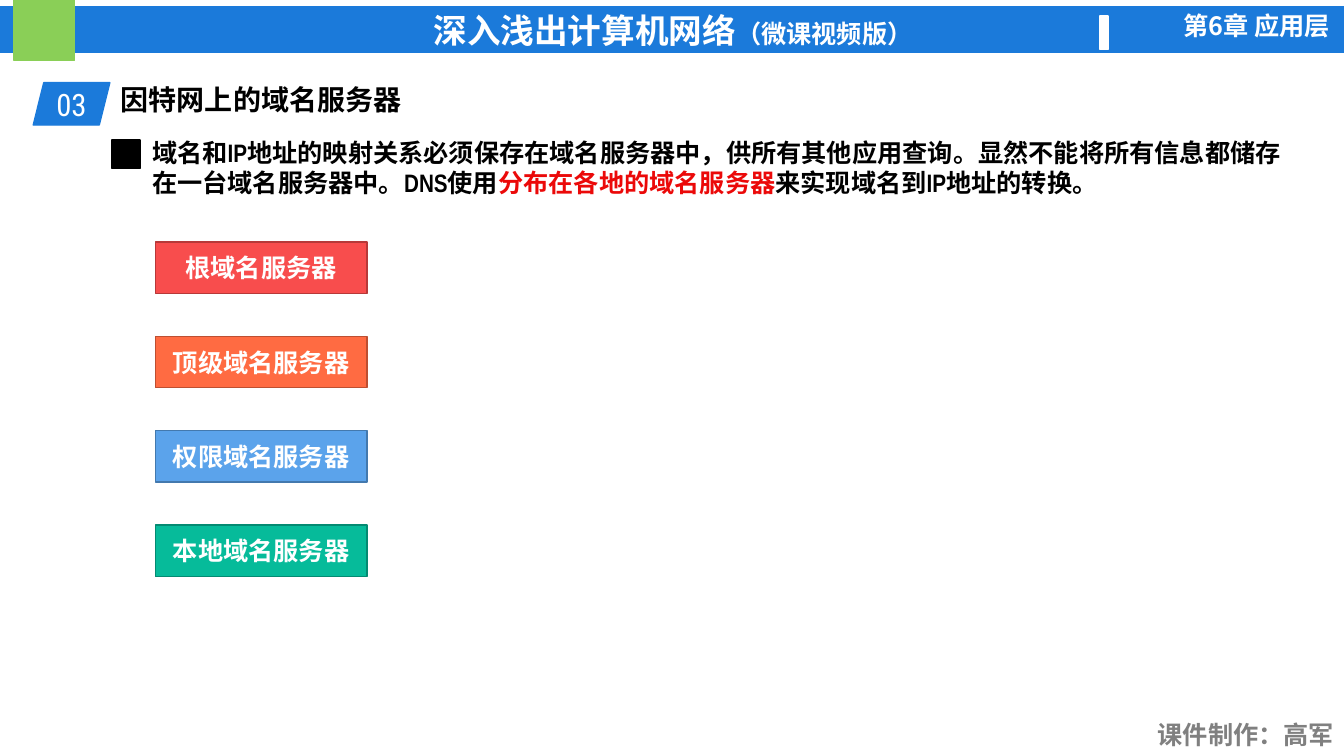
from pptx import Presentation
from pptx import util as u
from pptx.dml import color
from pptx.enum import shapes, text
from pptx.oxml import ns, xmlchemy

BLUE, GREEN, WHITE, BLACK, RED, GREY = "1B7ADA", "8ACF57", "FFFFFF", "000000", "EB0909", "808080"
NARROW, SANS, CONDENSED = "Arial Narrow", "Noto Sans CJK SC", "Roboto Condensed"
LEFT, CENTER, RIGHT = text.PP_ALIGN.LEFT, text.PP_ALIGN.CENTER, text.PP_ALIGN.RIGHT
TOP, MIDDLE = text.MSO_ANCHOR.TOP, text.MSO_ANCHOR.MIDDLE
SERVERS = [
    ("根域名服务器", "F84D4D", "B73939"),
    ("顶级域名服务器", "FF6B42", "BD4F31"),
    ("权限域名服务器", "5BA3EB", "4379AE"),
    ("本地域名服务器", "06BB9A", "048A72"),
]


def rgb(value):
    """Turn a hex string into a colour."""
    return color.RGBColor.from_string(value)


def write(shape, runs, align=LEFT, **frame_format):
    """Write (words, size, font, colour, bold) runs as one paragraph."""
    frame = shape.text_frame
    frame_values = {"word_wrap": True, "vertical_anchor": TOP, **frame_format}
    for name, value in frame_values.items():
        setattr(frame, name, value)
    paragraph = frame.paragraphs[0]
    paragraph.alignment = align
    for words, size, font, hue, bold in runs:
        run = paragraph.add_run()
        run.text = words
        for name, value in {"size": u.Pt(size), "name": font, "bold": bold}.items():
            setattr(run.font, name, value)
        run.font.color.rgb = rgb(hue)
        east_asian = xmlchemy.OxmlElement("a:ea")
        east_asian.set("typeface", font)
        run.font._element.find(ns.qn("a:latin")).addnext(east_asian)


def add_block(slide, box, fill, line=None, kind=shapes.MSO_SHAPE.RECTANGLE):
    """Add a filled preset shape with a thin outline."""
    shape = slide.shapes.add_shape(kind, *map(u.Inches, box))
    shape.shadow.inherit = False
    shape.fill.solid()
    shape.fill.fore_color.rgb = rgb(fill)
    shape.line.color.rgb = rgb(line or fill)
    shape.line.width = u.Pt(1)
    return shape


def add_label(slide, box, runs, align=LEFT, **frame_format):
    """Add a wrapped text box."""
    label = slide.shapes.add_textbox(*map(u.Inches, box))
    write(label, runs, align, **frame_format)


def add_header(slide, left, top, width, height):
    """Draw the course banner with its green tab and chapter name."""
    banner = add_block(slide, (left, top, width, height), BLUE)
    write(banner, [("深入浅出计算机网络", 24, NARROW, WHITE, True),
                   ("（微课视频版）", 18, NARROW, WHITE, True)], CENTER, vertical_anchor=MIDDLE)
    add_block(slide, (left + 0.14, top - 0.07, 0.6, 0.6), GREEN)
    add_block(slide, (left + 10.91, top + 0.09, 0.08, 0.33), WHITE)
    add_label(slide, (left + 11.11, top + 0.03, 2.18, 0.4),
              [("第6章 应用层", 18, SANS, WHITE, True)], RIGHT, margin_top=0, margin_bottom=0)


def add_heading(slide, left, top, width, height):
    """Draw the section number and the section title."""
    badge = add_block(slide, (left, top, 0.76, height), BLUE, kind=shapes.MSO_SHAPE.PARALLELOGRAM)
    write(badge, [("03", 22, CONDENSED, WHITE, False)], CENTER, vertical_anchor=MIDDLE,
          word_wrap=False, margin_left=0, margin_right=0)
    add_label(slide, (left + 0.77, top, width - 0.77, height + 0.02),
              [("因特网上的域名服务器", 20, SANS, BLACK, True)], margin_top=0, margin_bottom=0)


def add_statement(slide, left, top, width, height):
    """Draw the square marker and the statement beside it."""
    add_block(slide, (left, top + 0.09, 0.28, 0.28), BLACK)
    pieces = [
        ("域名和IP地址的映射关系必须保存在域名服务器中，供所有其他应用查询。"
         "显然不能将所有信息都储存在一台域名服务器中。DNS使用", BLACK),
        ("分布在各地的域名服务器", RED),
        ("来实现域名到IP地址的转换。", BLACK),
    ]
    add_label(slide, (left + 0.3, top, width - 0.3, height),
              [(words, 18, NARROW, hue, True) for words, hue in pieces], vertical_anchor=MIDDLE)


def add_servers(slide, left, top, width, height):
    """Stack the server types evenly down the given box."""
    block_height = 0.51
    step = (height - block_height) / (len(SERVERS) - 1)
    for row, (name, fill, line) in enumerate(SERVERS):
        block = add_block(slide, (left, top + row * step, width, block_height), fill, line)
        write(block, [(name, 18, NARROW, WHITE, True)], CENTER, vertical_anchor=MIDDLE)


def add_footer(slide, left, top, width, height):
    """Write the courseware author."""
    add_label(slide, (left, top, width, height),
              [("课件制作：高军", 18, NARROW, GREY, True)], RIGHT)


def main():
    """Build and save the slide."""
    presentation = Presentation()
    presentation.slide_width = u.Inches(13.33)
    presentation.slide_height = u.Inches(7.5)
    slide = presentation.slides.add_slide(presentation.slide_layouts[6])
    add_header(slide, 0, 0.07, 13.35, 0.45)
    add_footer(slide, 11.34, 7.09, 1.99, 0.4)
    add_heading(slide, 0.33, 0.82, 6.78, 0.42)
    add_statement(slide, 1.11, 1.3, 11.89, 0.73)
    add_servers(slide, 1.54, 2.4, 2.1, 3.32)
    presentation.save("out.pptx")


if __name__ == "__main__":
    main()
